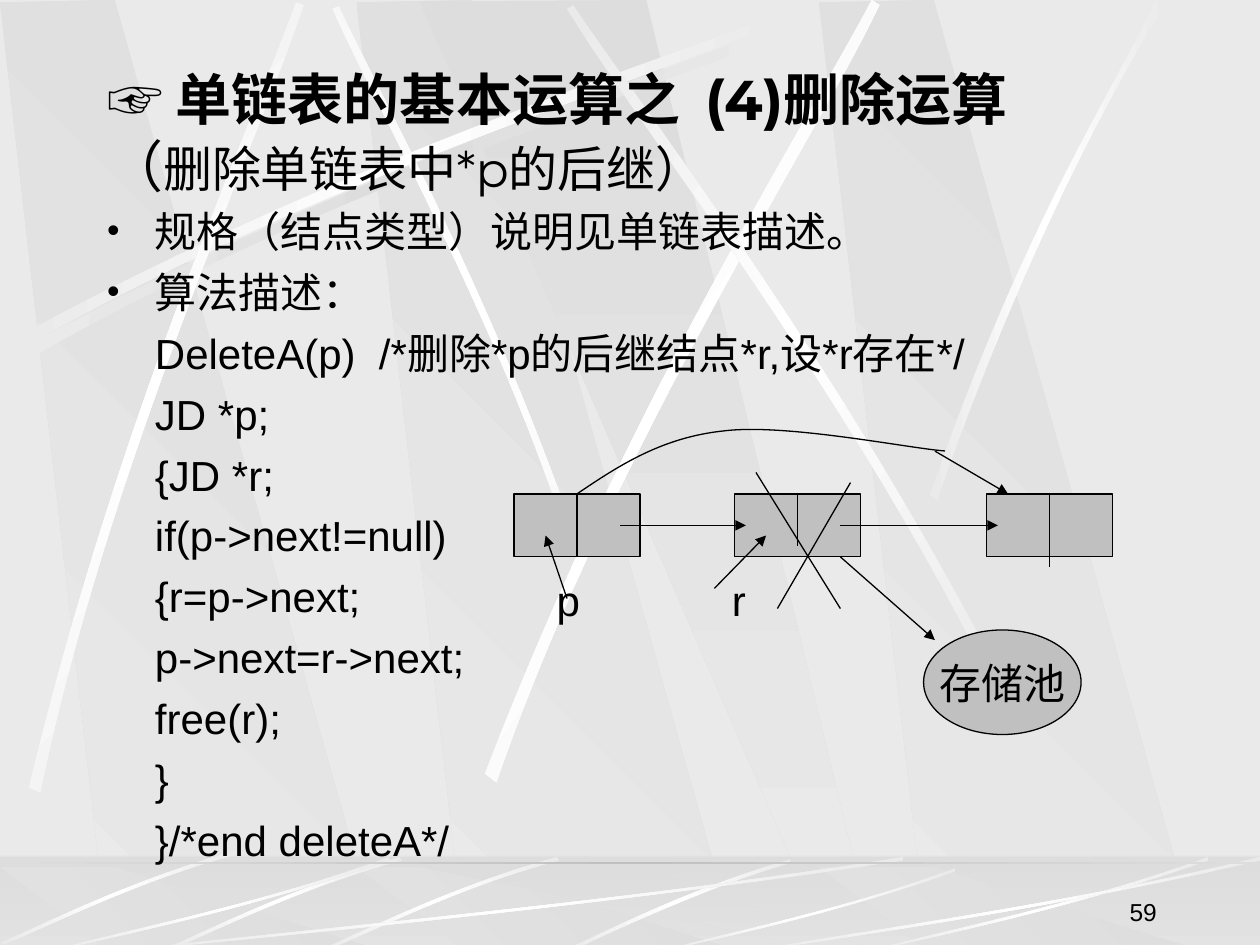
from copy import deepcopy

from lxml import etree
from pptx import Presentation
from pptx import util as u
from pptx.dml import color
from pptx.enum import shapes, text
from pptx.oxml import ns

BLACK, GREY, PALE, DIM, WHITE = "000000", "C0C0C0", "EAEAEA", "DDDDDD", "FFFFFF"


def rgb(code):
    return color.RGBColor.from_string(code)


def tag(parent, name, **attrs):
    return etree.SubElement(parent, ns.qn(name), attrs)


def write(para, words, size=24, face="Arial", bold=False):
    run = para.add_run()
    run.text = words
    font = run.font
    font.size, font.name, font.bold = u.Pt(size), face, bold
    font.color.rgb = rgb(BLACK)


def move(pts, dx=0, dy=0):
    return [(x + dx, y + dy) for x, y in pts]


class Page:
    def __init__(self, slide):
        self.slide = slide
        self.shapes = slide.shapes
        self.edge = u.Pt(0.75)

    def shade(self, shape, stops, angle):
        fill = shape.fill
        fill.gradient()
        fill.gradient_angle = (360 - angle) % 360
        if len(stops) == 3:
            last = fill.gradient_stops[1]._gs
            last.addprevious(deepcopy(last))
        for i, (stop, code) in enumerate(zip(fill.gradient_stops, stops)):
            stop.color.rgb = rgb(code)
            stop.position = i / (len(stops) - 1)
        shape.line.fill.background()

    def outline(self, pts, close=True, bends=()):
        pts = [(u.Inches(x), u.Inches(y)) for x, y in pts]
        draw = self.shapes.build_freeform(*pts[0])
        draw.add_line_segments(pts[1:], close=close)
        shape = draw.convert_to_shape()
        shape.shadow.inherit = False
        legs = list(shape._element.iter(ns.qn("a:lnTo")))
        for start in bends:
            bend = etree.Element(ns.qn("a:cubicBezTo"))
            legs[start].addprevious(bend)
            for leg in legs[start:start + 3]:
                bend.append(leg[0])
                leg.getparent().remove(leg)
        return shape

    def band(self, pts, angle=135):
        self.shade(self.outline(pts), (DIM, PALE), angle)

    def streak(self, pts, angle=0, mid=WHITE):
        self.shade(self.outline(pts, bends=(0, 4)), (PALE, mid, PALE), angle)

    def arc(self, *pts):
        shape = self.outline(pts, close=False, bends=(0, 3))
        shape.fill.background()
        self.pen(shape)

    def pen(self, shape):
        shape.line.color.rgb = rgb(BLACK)
        shape.line.width = self.edge

    def box(self, x, y, w, h, kind="RECTANGLE"):
        shape = self.shapes.add_shape(getattr(shapes.MSO_SHAPE, kind),
                                      *map(u.Inches, (x, y, w, h)))
        shape.shadow.inherit = False
        shape.fill.solid()
        shape.fill.fore_color.rgb = rgb(GREY)
        self.pen(shape)
        return shape

    def line(self, x1, y1, x2, y2, arrow=False):
        link = self.shapes.add_connector(shapes.MSO_CONNECTOR.STRAIGHT,
                                         *map(u.Inches, (x1, y1, x2, y2)))
        self.pen(link)
        if arrow:
            tag(link.line._get_or_add_ln(), "a:tailEnd", type="triangle")
        tag(link._element.spPr, "a:effectLst")

    def holder(self, shape, x, y, w, h, anchor):
        self.shapes.element.append(shape.element)
        shape.left, shape.top, shape.width, shape.height = map(u.Inches, (x, y, w, h))
        frame = shape.text_frame
        frame.word_wrap = True
        frame.auto_size = text.MSO_AUTO_SIZE.NONE
        frame.vertical_anchor = anchor
        return frame

    def label(self, words, x, y, w, h, anchor, align, size=24):
        frame = self.holder(self.shapes.add_textbox(0, 0, 0, 0), x, y, w, h, anchor)
        frame.paragraphs[0].alignment = align
        write(frame.paragraphs[0], words, size=size)

    def item(self, frame, words, first=False, mark=False):
        para = frame.paragraphs[0] if first else frame.add_paragraph()
        props = para._p.get_or_add_pPr()
        props.set("marL", str(u.Inches(0.38)))
        props.set("indent", str(u.Inches(-0.38 if mark else 0)))
        para.space_before = u.Pt(0 if first else 6)
        if mark:
            tag(tag(props, "a:buClr"), "a:srgbClr", val=BLACK)
            tag(props, "a:buSzPct", val="85000")
            tag(props, "a:buChar", char="•")
        else:
            tag(props, "a:buNone")
        write(para, words)


def scene(page):
    wall = [(0.86, 7.5), (3.02, 7.52), (0.91, 0), (0, 0.02)]
    slant = [(3.33, 0.01), (6.58, 7.51), (6.94, 7.51), (5.13, 0)]
    bands = [(move(wall, dx), 135) for dx in (2.83, 0, 6.5)] + [(slant, 90)]
    for pts, angle in bands:
        page.band(pts, angle)

    beam = [(0.14, 2.67), (2.78, 1.25), (5.18, 0.51), (6.2, 0.1),
            (6.23, 0.16), (5.22, 0.61), (2.48, 1.43), (0.17, 2.77)]
    page.streak(move(beam, 0.06, 0.08), mid=DIM)
    page.streak([(4.6, 4.36), (3.91, 2.34), (3.02, 0.77), (2.69, 0.05),
                 (2.64, 0.07), (2.95, 0.79), (3.98, 2.58), (4.54, 4.39)], 315)
    page.streak(beam)
    page.streak([(0.23, 6.25), (0.93, 3.34), (1.97, 1.05), (2.35, 0.02),
                 (2.41, 0.04), (2.07, 1.08), (0.86, 3.68), (0.32, 6.29)], 48.3)
    page.streak([(3.85, 6.14), (4.98, 3.2), (6.38, 1.02), (6.92, 0),
                 (6.98, 0.04), (6.49, 1.08), (4.86, 3.55), (3.94, 6.21)], 38.4)
    page.streak([(8.06, 5.6), (6.7, 2.93), (5.16, 0.95), (4.55, 0.04),
                 (4.5, 0.07), (5.07, 1.01), (6.85, 3.25), (7.99, 5.66)], 34.8)
    page.streak([(7.38, 3.93), (8.14, 1.73), (8.88, 0.66), (9.17, 0),
                 (9.27, 0), (8.36, 1.45), (7.69, 3.22), (7.44, 3.97)])

    page.shade(page.box(0, 6.8, 10, 0.75), (DIM, PALE), 90)
    for pts, angle in bands:
        page.band([(x, 6.88 + y * 0.088) for x, y in pts], angle)
    veil = page.box(0, 6.79, 10, 0.75)
    veil.fill.fore_color.rgb = rgb(DIM)
    veil.line.fill.background()
    tag(veil._element.spPr.find(".//" + ns.qn("a:srgbClr")), "a:alpha", val="50000")

    page.streak([(6.27, 6.82), (5.37, 7.09), (4.77, 7.42), (4.48, 7.54),
                 (4.53, 7.55), (4.9, 7.37), (5.71, 7), (6.28, 6.85)])
    ray = [(4.42, 6.8), (3.55, 7.05), (2.87, 7.4), (2.56, 7.53),
           (2.57, 7.55), (2.88, 7.43), (3.65, 7.03), (4.44, 6.83)]
    for dx, dy in ((0, 0), (-1.25, 0), (-2.55, -0.05)):
        page.streak(move(ray, dx, dy), 314.9)
    glow = [(1, 0.04), (0.57, 0.57), (0.17, 0.85), (0, 1),
            (0, 0.99), (0.17, 0.81), (0.62, 0.51), (1, 0)]
    for x, y, w in ((1, 6.8, 6.17), (0.42, 6.8, 2.67), (5.27, 6.89, 2.31),
                    (6.92, 6.8, 2.67), (6, 6.8, 4)):
        page.streak([(x + a * w, y + b * (7.55 - y)) for a, b in glow])
    page.shade(page.box(0, 6.84, 10, 0.02), (DIM, GREY, DIM), 0)


def words(page):
    frame = page.holder(page.shapes.title, 0.75, 0.46, 8.5, 1.17,
                        text.MSO_ANCHOR.MIDDLE)
    para = frame.paragraphs[0]
    para.alignment = text.PP_ALIGN.LEFT
    write(para, "☞", size=32, bold=True)
    write(para, " 单链表的基本运算之  (4)删除运算", size=32, face="Montserrat", bold=True)
    para.add_line_break()
    write(para, "（", size=32, face="Montserrat")
    write(para, "删除单链表中*p的后继）", size=28, face="Montserrat")

    frame = page.holder(page.slide.placeholders[1], 0.75, 1.58, 8.5, 5.42,
                        text.MSO_ANCHOR.TOP)
    page.item(frame, "规格（结点类型）说明见单链表描述。", first=True, mark=True)
    page.item(frame, "算法描述：", mark=True)
    for code in ("DeleteA(p)  /*删除*p的后继结点*r,设*r存在*/", "JD *p;", "{JD *r;",
                 "if(p->next!=null)", "{r=p->next;", "p->next=r->next;",
                 "free(r);", "}", "}/*end deleteA*/"):
        page.item(frame, code)


def nodes(page):
    for x, foot in ((4.08, 4.42), (5.83, 4.33), (7.83, 4.5)):
        page.box(x, 3.92, 1, 0.5)
        page.line(x + 0.5, 3.92, x + 0.5, foot)
    for ends in ((4.92, 4.17, 5.92, 4.17), (6.67, 4.17, 7.92, 4.17),
                 (4.5, 4.75, 4.33, 4.25), (5.67, 4.67, 6.08, 4.25),
                 (6.67, 4.42, 7.42, 5.08), (7.42, 3.58, 8, 3.92)):
        page.line(*ends, arrow=True)
    page.arc((4.58, 3.92), (4.92, 3.69), (5.26, 3.47), (5.75, 3.42),
             (6.24, 3.36), (7.22, 3.56), (7.5, 3.58))
    pool = page.box(7.33, 5, 1.25, 0.83, "OVAL").text_frame
    pool.word_wrap = False
    pool.vertical_anchor = text.MSO_ANCHOR.MIDDLE
    pool.paragraphs[0].alignment = text.PP_ALIGN.CENTER
    write(pool.paragraphs[0], "存储池", face="Times New Roman")
    page.line(6.75, 3.83, 6.17, 4.83)
    page.line(6, 3.75, 6.67, 4.83)
    for name, x in (("p", 4.32), ("r", 5.71)):
        page.label(name, x, 4.51, 0.45, 0.5, text.MSO_ANCHOR.MIDDLE,
                   text.PP_ALIGN.LEFT)


def main():
    deck = Presentation()
    deck.slide_width, deck.slide_height = u.Inches(10), u.Inches(7.5)
    page = Page(deck.slides.add_slide(deck.slide_layouts[1]))
    back = page.slide.background.fill
    back.solid()
    back.fore_color.rgb = rgb(PALE)
    scene(page)
    words(page)
    nodes(page)
    page.label("59", 7.2, 6.9, 2.08, 0.5, text.MSO_ANCHOR.BOTTOM,
               text.PP_ALIGN.RIGHT, size=14)
    deck.save("out.pptx")


if __name__ == "__main__":
    main()
